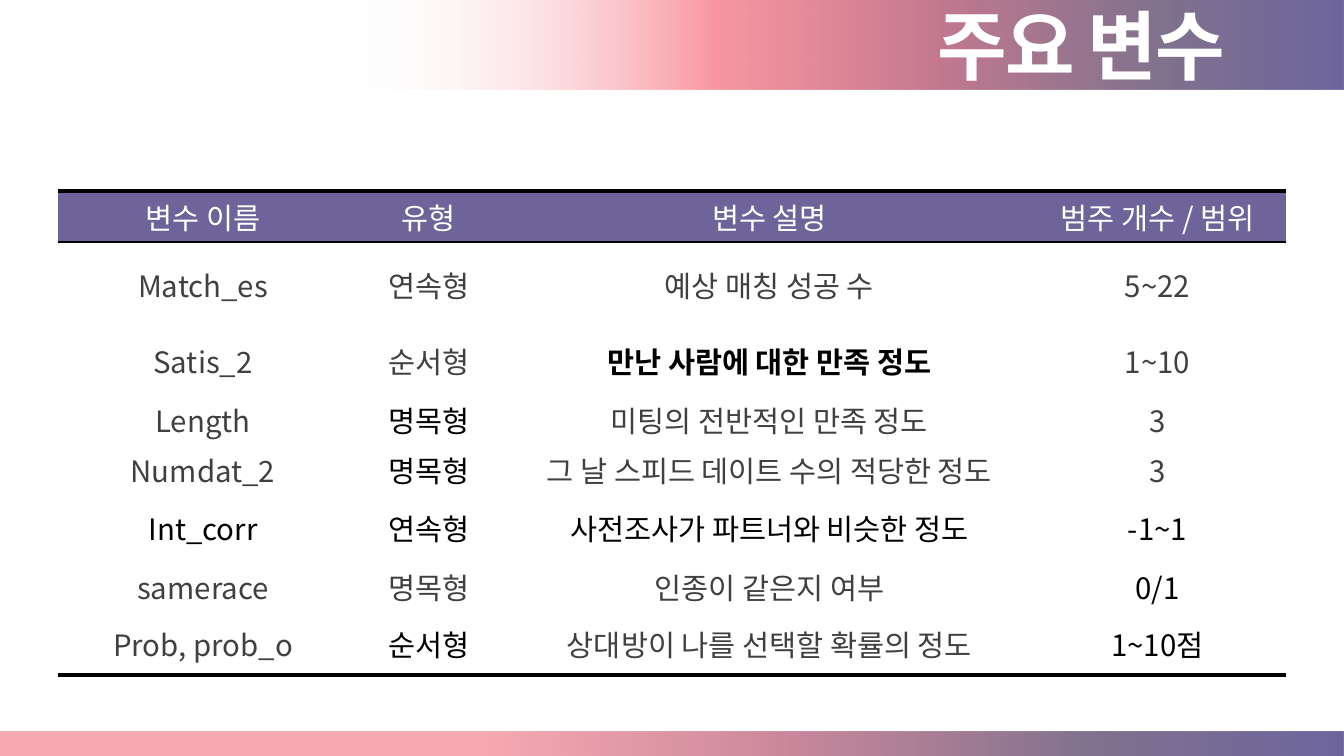
from lxml import etree
from pptx import Presentation
from pptx.dml.color import RGBColor
from pptx.enum.shapes import MSO_SHAPE as Preset
from pptx.enum.text import MSO_ANCHOR as Anchor, PP_ALIGN as Align
from pptx.oxml import parse_xml
from pptx.oxml.ns import nsdecls, qn
from pptx.util import Emu, Pt

FONT = "Noto Sans CJK KR"
TITLE = "주요 변수"
WHITE, BLACK, GRAY, PURPLE = "FFFFFF", "000000", "404040", "6E6499"

# Text styles of table cells: colour, bold
STYLES = {"w": (WHITE, False), "g": (GRAY, False), "k": (BLACK, False), "b": (BLACK, True)}

# Row height, one style letter per cell, cell texts
ROWS = [
    (51, "wwww", ("변수 이름", "유형", "변수 설명", "범주 개수 / 범위")),
    (85, "gggg", ("Match_es", "연속형", "예상 매칭 성공 수", "5~22")),
    (67, "ggbg", ("Satis_2", "순서형", "만난 사람에 대한 만족 정도", "1~10")),
    (50, "gkgg", ("Length", "명목형", "미팅의 전반적인 만족 정도", "3")),
    (50, "gkgg", ("Numdat_2", "명목형", "그 날 스피드 데이트 수의 적당한 정도", "3")),
    (67, "kkkk", ("Int_corr", "연속형", "사전조사가 파트너와 비슷한 정도", "-1~1")),
    (51, "gggk", ("samerace", "명목형", "인종이 같은지 여부", "0/1")),
    (63, "gkgk", ("Prob, prob_o", "순서형", "상대방이 나를 선택할 확률의 정도", "1~10점")),
]
COLUMN_WIDTHS = (290, 162, 519, 257)
TABLE_LEFT, TABLE_TOP = 58, 191
TITLE_BOX = (928, -6, 406, 102)

# Box in px, then gradient stops from right to left: position %, colour, opacity %
BANDS = [
    ((360, 0, 984, 90), [(0, "5C5393", 89), (19, "6C5B7B", 85), (42, "C06C84", 90),
                         (64, "F67280", 73), (100, "FFFFFF", 8)]),
    ((0, 732, 1344, 28), [(0, "5C5393", 89), (19, "6C5B7B", 85), (42, "C06C84", 80),
                          (64, "F5919C", 77)]),
]


def px(length):
    return Emu(round(length * 914400 / 100.8))


def rgb(value):
    return RGBColor.from_string(value)


def add_run(paragraph, text, size, color, bold):
    """Add a styled run and return its properties element."""
    run = paragraph.add_run()
    run.text = text
    font = run.font
    font.name, font.size, font.bold = FONT, Pt(size), bold
    font.color.rgb = rgb(color)
    properties = run._r.get_or_add_rPr()
    etree.SubElement(properties, qn("a:ea")).set("typeface", FONT)
    return properties


def add_band(slide, box, stops):
    shape = slide.shapes.add_shape(Preset.RECTANGLE, *map(px, box))
    shape.shadow.inherit = False
    shape.line.fill.background()
    stop_xml = "".join(
        f'<a:gs pos="{position * 1000}"><a:srgbClr val="{color}">'
        f'<a:alpha val="{opacity * 1000}"/></a:srgbClr></a:gs>'
        for position, color, opacity in stops)
    gradient = parse_xml(
        f'<a:gradFill {nsdecls("a")} rotWithShape="1"><a:gsLst>{stop_xml}</a:gsLst>'
        '<a:lin ang="10800000" scaled="0"/></a:gradFill>')
    shape._element.spPr.find(qn("a:prstGeom")).addnext(gradient)


def set_borders(cell, top, bottom):
    """Draw black top and bottom rules of the given points; 0 means none."""
    properties = cell._tc.get_or_add_tcPr()
    for side, width in (("L", 0), ("R", 0), ("T", top), ("B", bottom)):
        fill = f'<a:solidFill><a:srgbClr val="{BLACK}"/></a:solidFill>' if width else "<a:noFill/>"
        properties.append(parse_xml(
            f'<a:ln{side} {nsdecls("a")} w="{Pt(width)}">{fill}</a:ln{side}>'))


def add_variable_table(slide):
    size = sum(COLUMN_WIDTHS), sum(row[0] for row in ROWS)
    table = slide.shapes.add_table(
        len(ROWS), len(COLUMN_WIDTHS), *map(px, (TABLE_LEFT, TABLE_TOP, *size))).table
    table.first_row = table.horz_banding = False
    for column, width in zip(table.columns, COLUMN_WIDTHS):
        column.width = px(width)
    last = len(ROWS) - 1
    for index, (height, styles, texts) in enumerate(ROWS):
        table.rows[index].height = px(height)
        for cell, style, text in zip(table.rows[index].cells, styles, texts):
            cell.margin_left = cell.margin_right = cell.margin_top = px(1)
            cell.margin_bottom = 0
            cell.vertical_anchor = Anchor.MIDDLE
            set_borders(cell, {0: 3, 1: 1}.get(index, 0), {0: 1, last: 3}.get(index, 0))
            cell.fill.solid()
            cell.fill.fore_color.rgb = rgb(WHITE if index else PURPLE)
            paragraph = cell.text_frame.paragraphs[0]
            paragraph.alignment = Align.CENTER
            add_run(paragraph, text, 21, *STYLES[style])


def add_title(slide):
    frame = slide.shapes.add_textbox(*map(px, TITLE_BOX)).text_frame
    frame.word_wrap = True
    add_run(frame.paragraphs[0], TITLE, 54, WHITE, True).set("spc", "-150")


def main():
    presentation = Presentation()
    presentation.slide_width, presentation.slide_height = px(1344), px(756)
    slide = presentation.slides.add_slide(presentation.slide_layouts[6])
    for box, stops in BANDS:
        add_band(slide, box, stops)
    add_variable_table(slide)
    add_title(slide)
    presentation.save("out.pptx")


if __name__ == "__main__":
    main()
